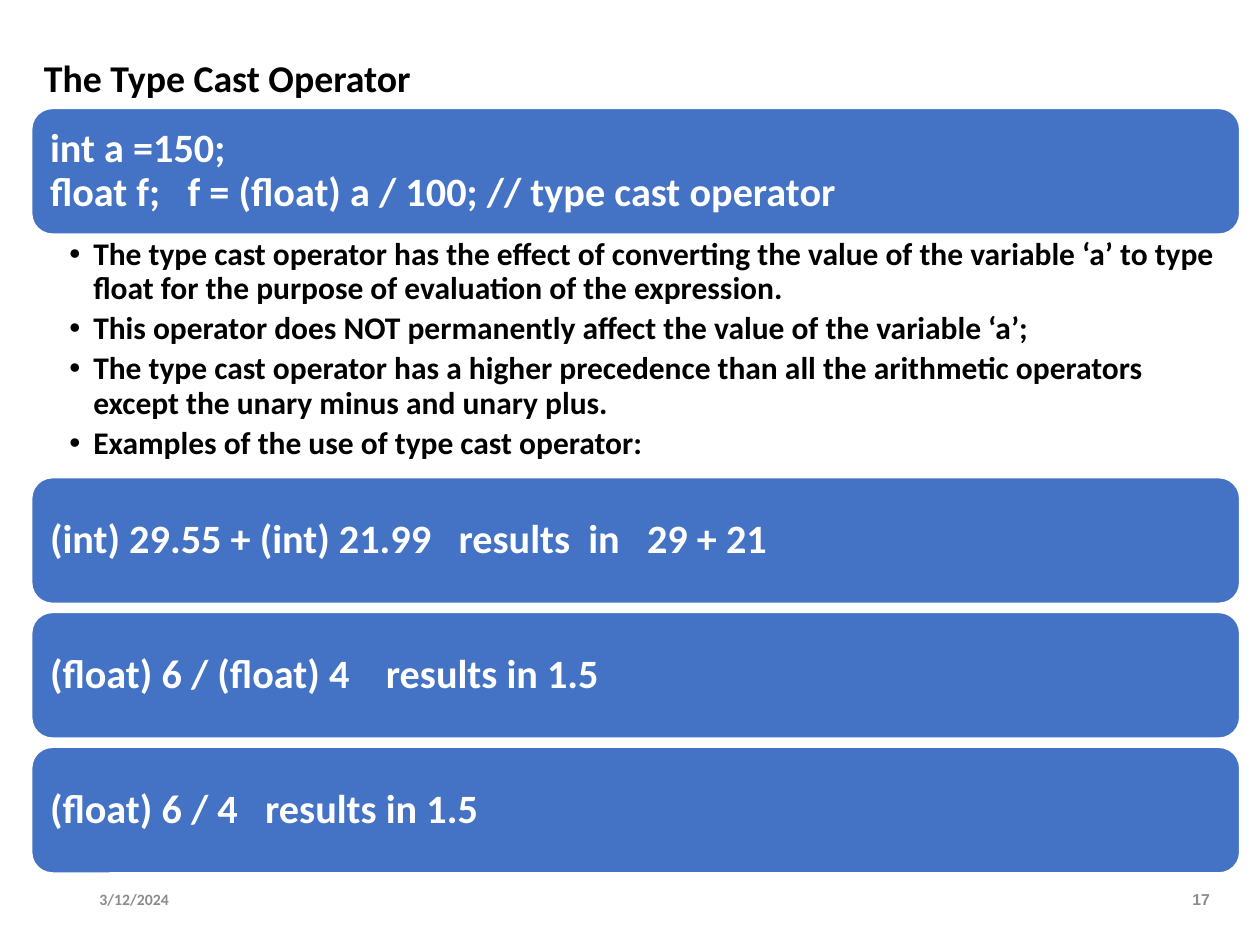
from pptx import Presentation
from pptx.dml.color import RGBColor
from pptx.enum.shapes import MSO_SHAPE
from pptx.enum.text import MSO_ANCHOR, PP_ALIGN
from pptx.oxml.ns import qn
from pptx.util import Inches, Pt
from lxml import etree


def color(hex_text):
    return RGBColor.from_string(hex_text)


class SlideBuilder:
    FONT = "Calibri"
    BLUE, WHITE, BLACK, GRAY = "4472C4", "FFFFFF", "000000", "8C8C8C"
    LEFT, WIDTH = 0.25, 9.59

    def __init__(self, presentation):
        self.slide = presentation.slides.add_slide(presentation.slide_layouts[6])

    def add_run(self, paragraph, text, size, hex_text, font=FONT):
        run = paragraph.add_run()
        run.text = text
        run.font.name = font
        run.font.size = Pt(size)
        run.font.bold = True
        run.font.color.rgb = color(hex_text)

    def text_frame(self, left, top, width, height, anchor):
        box = self.slide.shapes.add_textbox(
            Inches(left), Inches(top), Inches(width), Inches(height))
        frame = box.text_frame
        frame.word_wrap = True
        frame.vertical_anchor = anchor
        return frame

    def label(self, text, left, top, width, height, size, hex_text,
              font=FONT, align=PP_ALIGN.LEFT, anchor=MSO_ANCHOR.MIDDLE):
        frame = self.text_frame(left, top, width, height, anchor)
        paragraph = frame.paragraphs[0]
        paragraph.alignment = align
        paragraph.line_spacing = 0.9
        self.add_run(paragraph, text, size, hex_text, font)

    def code_panel(self, lines, top):
        panel = self.slide.shapes.add_shape(
            MSO_SHAPE.ROUNDED_RECTANGLE, Inches(self.LEFT), Inches(top),
            Inches(self.WIDTH), Inches(1))
        panel.shadow.inherit = False
        panel.fill.solid()
        panel.fill.fore_color.rgb = color(self.BLUE)
        panel.line.color.rgb = color(self.WHITE)
        panel.line.width = Pt(1)
        frame = panel.text_frame
        frame.word_wrap = True
        frame.vertical_anchor = MSO_ANCHOR.MIDDLE
        paragraph = frame.paragraphs[0]
        paragraph.alignment = PP_ALIGN.LEFT
        paragraph.line_spacing = 0.9
        for index, line in enumerate(lines):
            if index:
                paragraph.add_line_break()
            self.add_run(paragraph, line, 23, self.WHITE)

    def bullet_list(self, items, top, height):
        frame = self.text_frame(self.LEFT, top, self.WIDTH, height, MSO_ANCHOR.TOP)
        frame.margin_left, frame.margin_right = Inches(0.3), Inches(0.18)
        frame.margin_top = frame.margin_bottom = Inches(0.03)
        for index, item in enumerate(items):
            paragraph = frame.add_paragraph() if index else frame.paragraphs[0]
            paragraph.line_spacing = 0.9
            paragraph.space_after = Pt(3.6)
            self.add_run(paragraph, item, 18, self.BLACK)
            properties = paragraph._p.get_or_add_pPr()
            properties.set("marL", str(Inches(0.19)))
            properties.set("indent", str(-Inches(0.19)))
            etree.SubElement(properties, qn("a:buFont")).set("typeface", "Arial")
            etree.SubElement(properties, qn("a:buChar")).set("char", "•")


def main():
    presentation = Presentation()
    presentation.slide_width = Inches(10)
    presentation.slide_height = Inches(7.5)
    builder = SlideBuilder(presentation)

    # Title
    builder.label("The Type Cast Operator", 0.25, 0.15, 3.23, 0.7, 21.6,
                  builder.BLACK, anchor=MSO_ANCHOR.BOTTOM)

    # Declaration and explanation
    builder.code_panel(
        ["int a =150;", "float f;   f = (float) a / 100; // type cast operator"], 0.86)
    builder.bullet_list([
        "The type cast operator has the effect of converting the value of the "
        "variable ‘a’ to type float for the purpose of evaluation of the expression.",
        "This operator does NOT permanently affect the value of the variable ‘a’;",
        "The type cast operator has a higher precedence than all the arithmetic "
        "operators except the unary minus and unary plus.",
        "Examples of the use of type cast operator:",
    ], 1.86, 1.93)

    # Examples
    examples = [
        "(int) 29.55 + (int) 21.99   results  in   29 + 21",
        "(float) 6 / (float) 4    results in 1.5",
        "(float) 6 / 4   results in 1.5",
    ]
    for index, example in enumerate(examples):
        builder.code_panel([example], 3.79 + 1.07 * index)

    # Footer
    builder.label("3/12/2024", 0.69, 6.95, 0.95, 0.4, 9, builder.GRAY)
    builder.label("17", 9.31, 6.95, 0.39, 0.4, 9, builder.GRAY,
                  font="Arial", align=PP_ALIGN.RIGHT)

    presentation.save("out.pptx")


if __name__ == "__main__":
    main()
